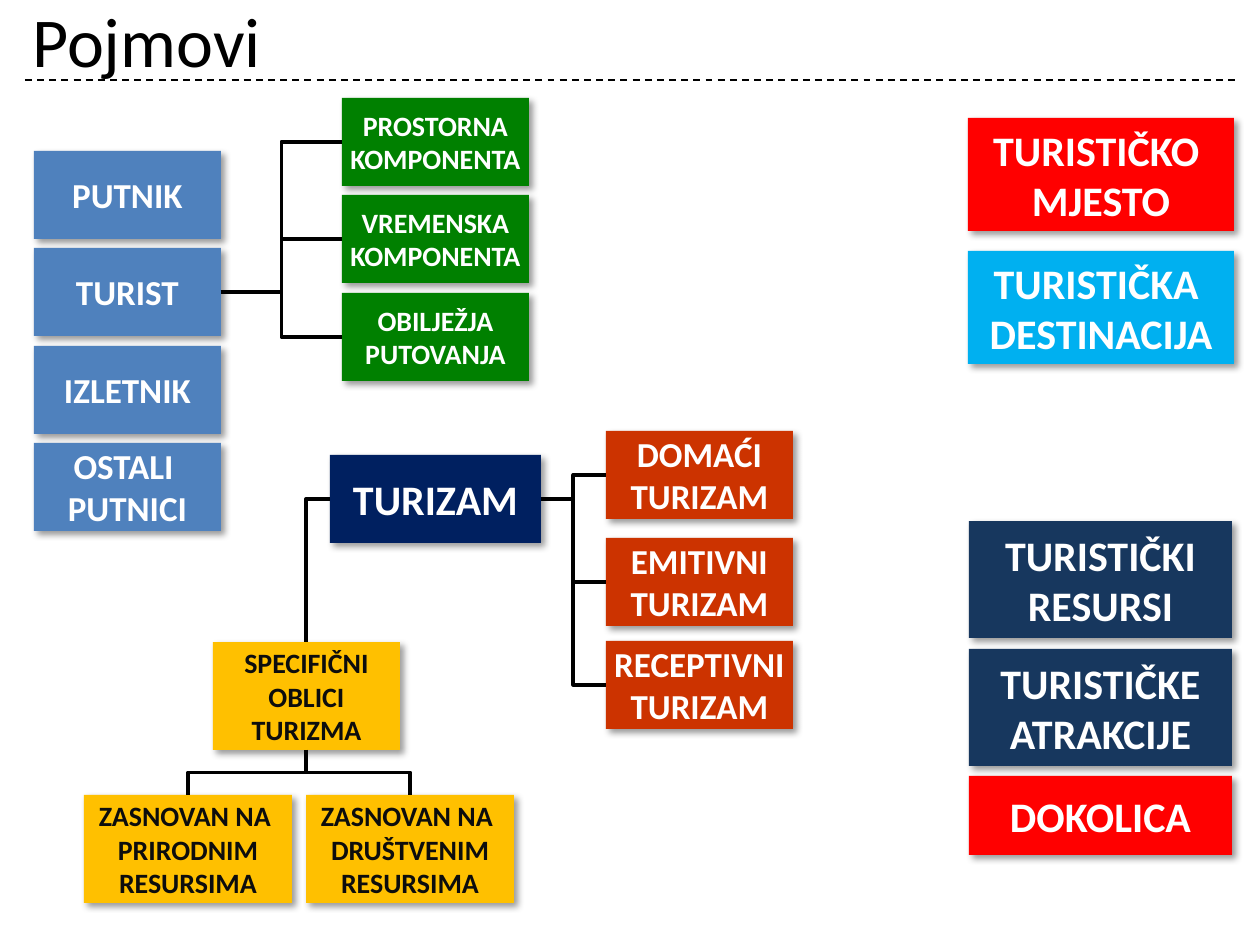
from dataclasses import dataclass

from lxml import etree
from pptx import Presentation
from pptx import util as u
from pptx.dml.color import RGBColor
from pptx.enum import dml, shapes, text
from pptx.oxml.ns import qn

PX = 914400 / 126


@dataclass(frozen=True)
class Style:
    fill: str
    size: int
    ink: str = "FFFFFF"


@dataclass(frozen=True)
class Theme:
    font: str = "Calibri"
    black: str = "000000"
    title_size: int = 40
    rule_width: float = 1
    link_width: float = 2.25
    traveller: Style = Style("4F81BD", 20)
    component: Style = Style("008000", 16)
    tourism: Style = Style("002060", 24)
    direction: Style = Style("CC3300", 20)
    special: Style = Style("FFC000", 16, "0D0D0D")
    place: Style = Style("FF0000", 24)
    destination: Style = Style("00B0F0", 24)
    resource: Style = Style("17375E", 24)


THEME = Theme()


@dataclass(frozen=True)
class Box:
    label: str
    left: int
    top: int
    width: int
    height: int
    style: Style

    @property
    def right(self) -> int:
        return self.left + self.width

    @property
    def bottom(self) -> int:
        return self.top + self.height

    @property
    def center(self) -> int:
        return self.left + self.width // 2

    @property
    def middle(self) -> int:
        return self.top + self.height // 2


def px(value: float) -> u.Emu:
    return u.Emu(round(value * PX))


def color(value: str) -> RGBColor:
    return RGBColor.from_string(value)


def write(shape, content: str, size: int, ink: str, bold: bool, align) -> None:
    frame = shape.text_frame
    frame.text = content
    frame.vertical_anchor = text.MSO_ANCHOR.MIDDLE
    for paragraph in frame.paragraphs:
        paragraph.alignment = align
        for run in paragraph.runs:
            run.font.name = THEME.font
            run.font.size = u.Pt(size)
            run.font.bold = bold
            run.font.color.rgb = color(ink)


def add_shadow(shape) -> None:
    shape.shadow.inherit = False
    effects = shape._element.spPr.find(qn("a:effectLst"))
    shadow = etree.SubElement(
        effects, qn("a:outerShdw"), blurRad=str(u.Pt(4)), dist=str(u.Pt(3)),
        dir="2700000", algn="tl", rotWithShape="0")
    tint = etree.SubElement(shadow, qn("a:srgbClr"), val=THEME.black)
    etree.SubElement(tint, qn("a:alpha"), val="40000")


def draw_box(slide, box: Box) -> None:
    shape = slide.shapes.add_shape(
        shapes.MSO_SHAPE.RECTANGLE,
        px(box.left), px(box.top), px(box.width), px(box.height))
    shape.fill.solid()
    shape.fill.fore_color.rgb = color(box.style.fill)
    shape.line.fill.background()
    add_shadow(shape)
    write(shape, box.label, box.style.size, box.style.ink, True, text.PP_ALIGN.CENTER)
    shape.text_frame.word_wrap = False


def draw_line(slide, kind, x1: float, y1: float, x2: float, y2: float, width: float):
    connector = slide.shapes.add_connector(kind, px(x1), px(y1), px(x2), px(y2))
    connector.line.color.rgb = color(THEME.black)
    connector.line.width = u.Pt(width)
    etree.SubElement(connector._element.spPr, qn("a:effectLst"))
    return connector


def draw_elbow(slide, x1: float, y1: float, x2: float, y2: float):
    return draw_line(slide, shapes.MSO_CONNECTOR.ELBOW, x1, y1, x2, y2, THEME.link_width)


def link_right(slide, source: Box, target: Box) -> None:
    draw_elbow(slide, source.right, source.middle, target.left, target.middle)


def link_down(slide, source: Box, target: Box) -> None:
    x = (source.center + target.center) / 2
    y = (source.bottom + target.top) / 2
    half_drop = (target.top - source.bottom) / 2
    half_shift = abs(target.center - source.center) / 2
    to_right = target.center > source.center
    side = -half_drop if to_right else half_drop
    connector = draw_elbow(slide, x - side, y - half_shift, x + side, y + half_shift)
    turn = 270 if to_right else 90
    connector._element.spPr.find(qn("a:xfrm")).set("rot", str(turn * 60000))


def link_corner(slide, source: Box, target: Box) -> None:
    connector = draw_elbow(slide, source.left, source.middle, target.center, target.top)
    connector._element.spPr.find(qn("a:prstGeom")).set("prst", "bentConnector2")


def stack(labels: list[str], left: int, top: int, style: Style) -> list[Box]:
    return [Box(label, left, top + 195 * row // 2, 187, 88, style)
            for row, label in enumerate(labels)]


def main() -> None:
    presentation = Presentation()
    presentation.slide_width, presentation.slide_height = u.Inches(10), u.Inches(7.5)
    slide = presentation.slides.add_slide(presentation.slide_layouts[6])

    rule = draw_line(slide, shapes.MSO_CONNECTOR.STRAIGHT, 25, 80, 1235, 80, THEME.rule_width)
    rule.line.dash_style = dml.MSO_LINE.DASH
    title = slide.shapes.add_textbox(px(20), px(-4), px(1221), px(88))
    title.text_frame.word_wrap = True
    write(title, "Pojmovi", THEME.title_size, THEME.black, False, text.PP_ALIGN.LEFT)

    travellers = stack(["PUTNIK", "TURIST", "IZLETNIK", "OSTALI \nPUTNICI"],
                       34, 151, THEME.traveller)
    components = stack(["PROSTORNA\nKOMPONENTA", "VREMENSKA\nKOMPONENTA",
                        "OBILJEŽJA\nPUTOVANJA"], 342, 98, THEME.component)
    tourism = Box("TURIZAM", 330, 455, 211, 88, THEME.tourism)
    directions = [
        Box(f"{name}\nTURIZAM", 606, top, 187, 88, THEME.direction)
        for name, top in (("DOMAĆI", 431), ("EMITIVNI", 538), ("RECEPTIVNI", 641))]
    special = Box("SPECIFIČNI\nOBLICI\nTURIZMA", 213, 642, 187, 108, THEME.special)
    bases = [
        Box(f"ZASNOVAN NA \n{name}\nRESURSIMA", left, 795, 208, 108, THEME.special)
        for name, left in (("PRIRODNIM", 84), ("DRUŠTVENIM", 306))]
    concepts = [
        Box("TURISTIČKO \nMJESTO", 968, 118, 266, 113, THEME.place),
        Box("TURISTIČKA \nDESTINACIJA", 968, 251, 266, 113, THEME.destination),
        Box("TURISTIČKI\nRESURSI", 969, 521, 263, 117, THEME.resource),
        Box("TURISTIČKE\nATRAKCIJE", 969, 649, 263, 117, THEME.resource),
        Box("DOKOLICA", 969, 776, 263, 79, THEME.place)]

    for box in [*travellers, *components, tourism, *directions, special, *bases, *concepts]:
        draw_box(slide, box)
    for component in components:
        link_right(slide, travellers[1], component)
    for direction in directions:
        link_right(slide, tourism, direction)
    for base in bases:
        link_down(slide, special, base)
    link_corner(slide, tourism, special)

    presentation.save("out.pptx")


if __name__ == "__main__":
    main()
